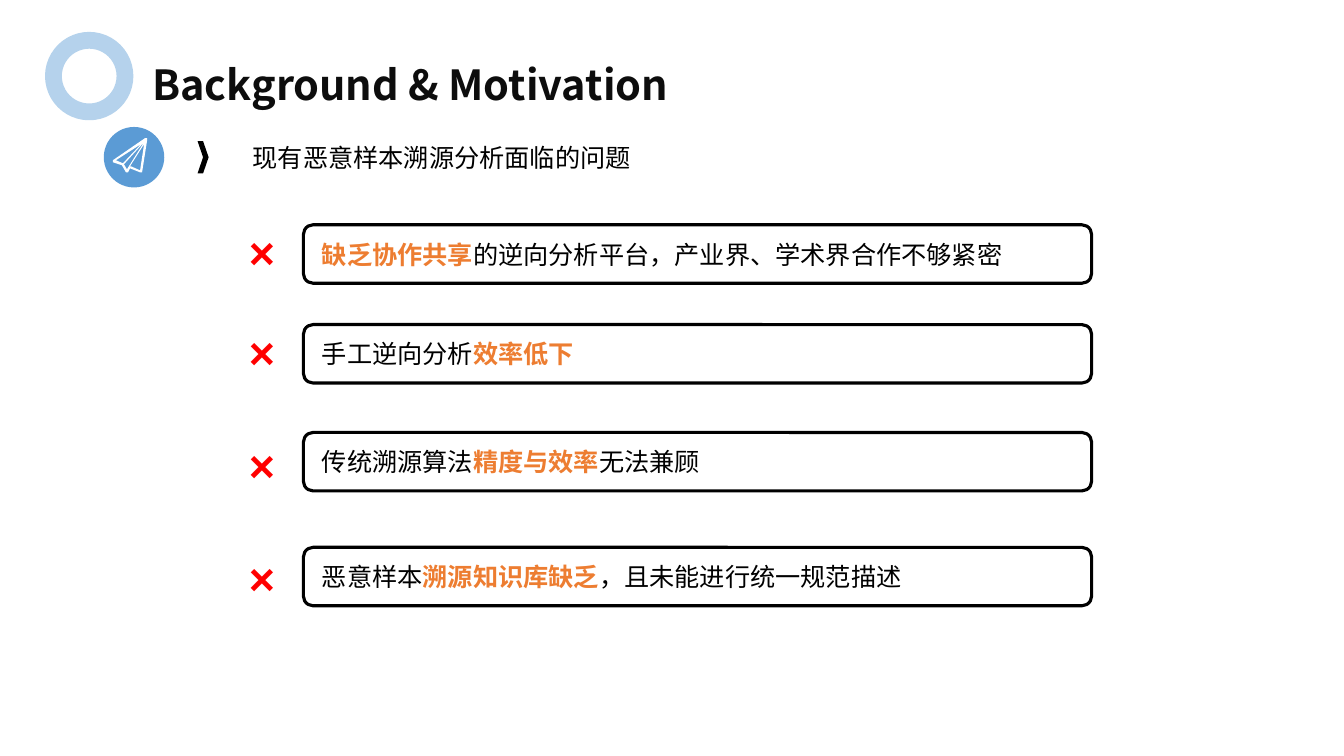
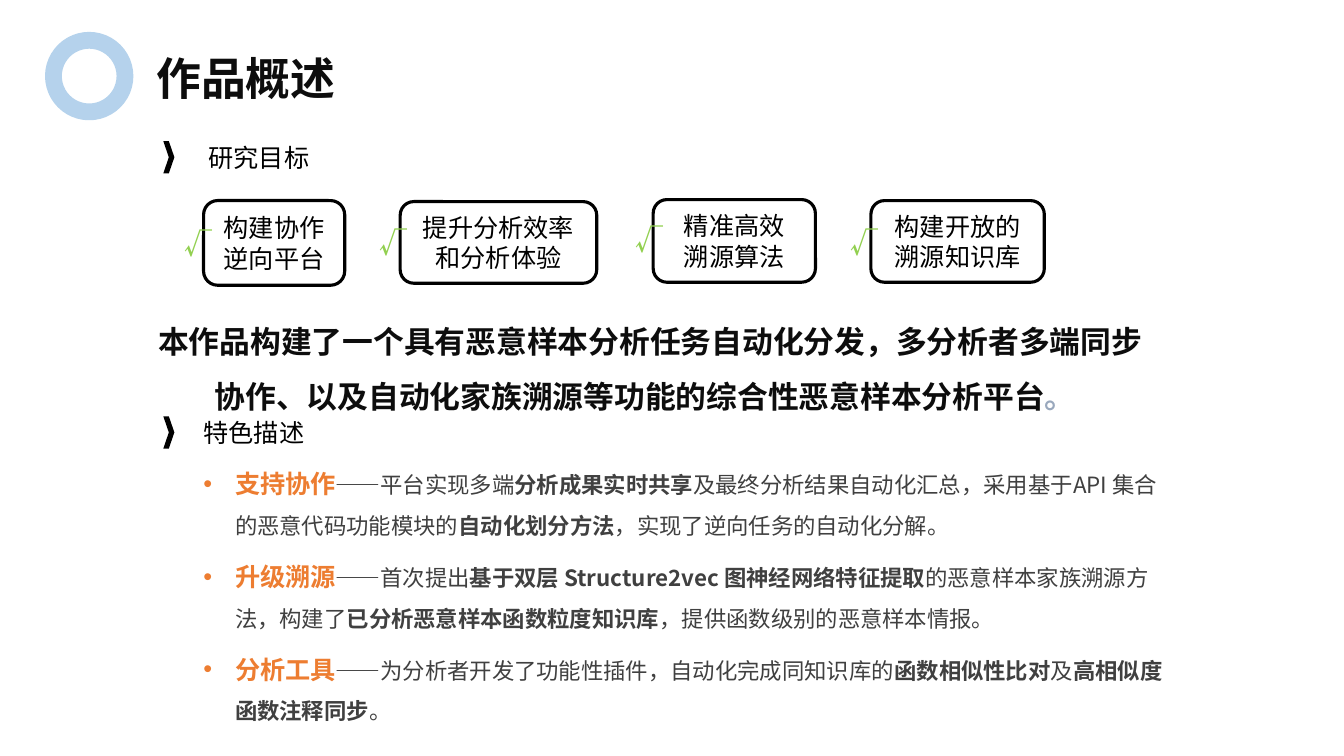
"""Build two slides on the problems and goals of malware tracing."""
from dataclasses import dataclass
from enum import Enum
from typing import NamedTuple

from lxml import etree
from pptx import Presentation
from pptx import util as u
from pptx.dml.color import RGBColor
from pptx.enum import shapes, text
from pptx.oxml import ns

COLUMNS, ROWS = 80, 45
CELL = u.Inches(7.5) // ROWS


@dataclass(frozen=True)
class Theme:
    """Colours, fonts and type sizes of the presentation."""
    font: str = "Noto Sans CJK SC"
    cross_font: str = "Arial"
    tick_font: str = "Noto Sans CJK JP"
    ink: str = "000000"
    title_ink: str = "0D0D0D"
    body_ink: str = "404040"
    accent: str = "ED7D31"
    blue: str = "5B9BD5"
    pale_blue: str = "B5D2EC"
    grey_blue: str = "99A8BD"
    white: str = "FFFFFF"
    red: str = "FF0000"
    green: str = "92D050"
    title_size: float = 32
    latin_title_size: float = 29.6
    summary_size: float = 22
    text_size: float = 18
    detail_size: float = 16
    cross_size: float = 32
    tick_size: float = 20
    frame_width: float = 2.25
    ring_width: float = 12


THEME = Theme()


class Box(NamedTuple):
    """A rectangle in grid columns and rows."""
    left: float
    top: float
    width: float
    height: float

    def lengths(self) -> list[int]:
        """Return the rectangle in slide units."""
        return [cells(value) for value in self]


class Tone(Enum):
    """The ways a piece of text is set."""
    PLAIN = dict(color=THEME.ink)
    ACCENT = dict(color=THEME.accent, bold=True)
    SUMMARY = dict(color=THEME.title_ink, size=THEME.summary_size, bold=True)
    STOP = dict(color=THEME.grey_blue, size=THEME.summary_size, bold=True)
    DETAIL = dict(color=THEME.body_ink, size=THEME.detail_size)
    STRONG = dict(color=THEME.body_ink, size=THEME.detail_size, bold=True)


class Piece(NamedTuple):
    """A stretch of text in one tone."""
    content: str
    tone: Tone = Tone.PLAIN


class Problem(NamedTuple):
    """A framed problem with a cross before it."""
    top: float
    cross_top: float
    pieces: list[Piece]


class Goal(NamedTuple):
    """A framed goal with a tick at its left edge."""
    frame: Box
    tick_left: float
    tick_top: float
    lines: list[str]


RING = Box(3.18, 2.4, 4.26, 4.26)
BADGE = Box(6.18, 7.56, 3.6, 3.6)
PLANE_UNITS = 60
PLANE = [
    [(43, 11), (41, 11), (9, 33), (9, 35), (18, 38), (22, 45), (24, 45),
     (26, 41), (36, 45), (38, 45), (43, 13)],
    [(36, 43), (27, 39), (26, 39), (40, 17)],
    [(20, 37), (40, 15), (23, 42)],
    [(12, 33), (37, 17), (19, 36)],
]

PROBLEMS = [
    Problem(13.38, 13.08, [Piece("缺乏协作共享", Tone.ACCENT),
                           Piece("的逆向分析平台，产业界、学术界合作不够紧密")]),
    Problem(19.32, 19.02, [Piece("手工逆向分析"), Piece("效率低下", Tone.ACCENT)]),
    Problem(25.74, 25.74, [Piece("传统溯源算法"), Piece("精度与效率", Tone.ACCENT),
                           Piece("无法兼顾")]),
    Problem(32.58, 32.46, [Piece("恶意样本"), Piece("溯源知识库缺乏", Tone.ACCENT),
                           Piece("，且未能进行统一规范描述")]),
]

GOALS = [
    Goal(Box(12.12, 11.94, 8.4, 5.04), 10.38, 13.2, ["构建协作逆向平台"]),
    Goal(Box(23.82, 12, 11.7, 4.86), 22.02, 13.14, ["提升分析效率和分析体验"]),
    Goal(Box(38.88, 11.88, 9.66, 4.92), 37.26, 12.96, ["精准高效", "溯源算法"]),
    Goal(Box(51.84, 11.94, 10.32, 4.86), 50.04, 13.14, ["构建开放的溯源知识库"]),
]

SUMMARY = [
    Piece("本作品构建了一个具有恶意样本分析任务自动化分发，多分析者多端同步协作、"
          "以及自动化家族溯源等功能的综合性恶意样本分析平台", Tone.SUMMARY),
    Piece("。", Tone.STOP),
]

FEATURES = [
    [Piece("支持协作", Tone.ACCENT), Piece("——平台实现多端", Tone.DETAIL),
     Piece("分析成果实时共享", Tone.STRONG),
     Piece("及最终分析结果自动化汇总，采用基于API 集合的恶意代码功能模块的", Tone.DETAIL),
     Piece("自动化划分方法", Tone.STRONG),
     Piece("，实现了逆向任务的自动化分解。", Tone.DETAIL)],
    [Piece("升级溯源", Tone.ACCENT), Piece("——首次提出", Tone.DETAIL),
     Piece("基于双层 Structure2vec 图神经网络特征提取", Tone.STRONG),
     Piece("的恶意样本家族溯源方法，构建了", Tone.DETAIL),
     Piece("已分析恶意样本函数粒度知识库", Tone.STRONG),
     Piece("，提供函数级别的恶意样本情报。", Tone.DETAIL)],
    [Piece("分析工具", Tone.ACCENT),
     Piece("——为分析者开发了功能性插件，自动化完成同知识库的", Tone.DETAIL),
     Piece("函数相似性比对", Tone.STRONG), Piece("及", Tone.DETAIL),
     Piece("高相似度函数注释同步", Tone.STRONG), Piece("。", Tone.DETAIL)],
]


def cells(count: float) -> int:
    """Turn a number of grid cells into a slide length."""
    return round(count * CELL)


def write(paragraph, content: str, *, color: str = THEME.ink,
          size: float = THEME.text_size, bold: bool = False,
          font: str = THEME.font) -> None:
    """Append formatted text to a paragraph."""
    run = paragraph.add_run()
    run.text = content
    run.font.size, run.font.bold, run.font.name = u.Pt(size), bold, font
    run.font.color.rgb = RGBColor.from_string(color)
    properties = run._r.get_or_add_rPr()
    etree.SubElement(properties, ns.qn("a:ea")).set("typeface", font)


def write_pieces(paragraph, pieces: list[Piece]) -> None:
    """Append pieces of text, each in its tone."""
    for piece in pieces:
        write(paragraph, piece.content, **piece.tone.value)


def add_paragraphs(frame, count: int) -> list:
    """Return the given number of paragraphs of an empty text frame."""
    return [frame.paragraphs[0]] + [frame.add_paragraph() for _ in range(count - 1)]


def indent(paragraph, margin: float, first_line: float) -> None:
    """Set the left margin and first-line indent in cells."""
    properties = paragraph._p.get_or_add_pPr()
    properties.set("marL", str(cells(margin)))
    properties.set("indent", str(cells(first_line)))


def space(paragraph) -> None:
    """Give a long paragraph its open line spacing."""
    paragraph.line_spacing = 1.5
    paragraph.space_before = u.Pt(5)


def add_bullet(paragraph) -> None:
    """Put a hanging round bullet before a paragraph."""
    indent(paragraph, 1.88, -1.88)
    properties = paragraph._p.get_or_add_pPr()
    etree.SubElement(properties, ns.qn("a:buFont")).set("typeface", "Arial")
    etree.SubElement(properties, ns.qn("a:buChar")).set("char", "•")


def paint(shape, fill: str | None, line: str | None, width: float = 0) -> None:
    """Set the fill and line of a shape and drop its shadow."""
    shape.shadow.inherit = False
    if fill:
        shape.fill.solid()
        shape.fill.fore_color.rgb = RGBColor.from_string(fill)
    else:
        shape.fill.background()
    if line:
        shape.line.color.rgb = RGBColor.from_string(line)
        shape.line.width = u.Pt(width)
    else:
        shape.line.fill.background()


def add_preset(slide, kind: shapes.MSO_SHAPE, box: Box, *, fill: str | None = None,
               line: str | None = None, width: float = 0):
    """Add a painted preset shape."""
    shape = slide.shapes.add_shape(kind, *box.lengths())
    paint(shape, fill, line, width)
    return shape


def add_frame(slide, box: Box):
    """Add a rounded outline and return its text frame."""
    shape = add_preset(slide, shapes.MSO_SHAPE.ROUNDED_RECTANGLE, box,
                       line=THEME.ink, width=THEME.frame_width)
    shape.text_frame.word_wrap = True
    shape.text_frame.vertical_anchor = text.MSO_ANCHOR.MIDDLE
    return shape.text_frame


def add_text(slide, box: Box, wrap: bool = True):
    """Add a text box and return its text frame."""
    frame = slide.shapes.add_textbox(*box.lengths()).text_frame
    frame.word_wrap = wrap
    return frame


def add_heading(slide, content: str, chevron_left: float, text_left: float,
                top: float) -> None:
    """Add a section heading with a chevron before it."""
    add_preset(slide, shapes.MSO_SHAPE.CHEVRON, Box(chevron_left, top, 0.66, 1.92),
               fill=THEME.ink)
    frame = add_text(slide, Box(text_left, top - 0.24, 34.56, 2.4))
    write(frame.paragraphs[0], content)


def add_titled_slide(presentation, title: str, box: Box, size: float):
    """Add a slide with the shared title style and ring."""
    slide = presentation.slides.add_slide(presentation.slide_layouts[5])
    placeholder = slide.shapes.title
    placeholder.left, placeholder.top, placeholder.width, placeholder.height = box.lengths()
    frame = placeholder.text_frame
    frame.auto_size = text.MSO_AUTO_SIZE.NONE
    frame.vertical_anchor = text.MSO_ANCHOR.BOTTOM
    frame.margin_bottom = 0
    frame.paragraphs[0].alignment = text.PP_ALIGN.LEFT
    write(frame.paragraphs[0], title, size=size, color=THEME.title_ink, bold=True)
    add_preset(slide, shapes.MSO_SHAPE.OVAL, RING, fill=THEME.white,
               line=THEME.pale_blue, width=THEME.ring_width)
    return slide


def add_plane_badge(slide) -> None:
    """Add the round badge with a paper plane."""
    add_preset(slide, shapes.MSO_SHAPE.OVAL, BADGE, fill=THEME.blue)
    scale = cells(BADGE.width) / PLANE_UNITS
    builder = slide.shapes.build_freeform(*PLANE[0][0], scale=scale)
    for index, outline in enumerate(PLANE):
        if index:
            builder.move_to(*outline[0])
        builder.add_line_segments(outline[1:], close=True)
    plane = builder.convert_to_shape(cells(BADGE.left), cells(BADGE.top))
    paint(plane, THEME.white, None)


def build_problems(presentation) -> None:
    """Build the slide of open problems."""
    slide = add_titled_slide(presentation, "Background & Motivation",
                             Box(8.46, 1.86, 32.1, 4.62), THEME.latin_title_size)
    add_plane_badge(slide)
    add_heading(slide, "现有恶意样本溯源分析面临的问题", 11.76, 14.46, 8.4)
    for problem in PROBLEMS:
        frame = add_frame(slide, Box(18.06, problem.top, 46.92, 3.48))
        frame.margin_left = cells(0.93)
        frame.paragraphs[0].alignment = text.PP_ALIGN.LEFT
        write_pieces(frame.paragraphs[0], problem.pieces)
        cross = add_text(slide, Box(14.22, problem.cross_top, 3.48, 3.84))
        write(cross.paragraphs[0], "×", size=THEME.cross_size, color=THEME.red,
              bold=True, font=THEME.cross_font)


def build_overview(presentation) -> None:
    """Build the slide of goals and features."""
    slide = add_titled_slide(presentation, "作品概述", Box(8.7, 2.82, 32.1, 3.42),
                             THEME.title_size)
    add_heading(slide, "研究目标", 9.72, 11.82, 8.4)
    for goal in GOALS:
        frame = add_frame(slide, goal.frame)
        for paragraph, line in zip(add_paragraphs(frame, len(goal.lines)), goal.lines):
            paragraph.alignment = text.PP_ALIGN.CENTER
            write(paragraph, line)
        tick = add_text(slide, Box(goal.tick_left, goal.tick_top, 2.88, 2.64), wrap=False)
        write(tick.paragraphs[0], "√", size=THEME.tick_size, color=THEME.green,
              bold=True, font=THEME.tick_font)
    summary = add_text(slide, Box(8.1, 17.82, 60.6, 10.02)).paragraphs[0]
    summary.alignment = text.PP_ALIGN.CENTER
    indent(summary, 0, 0.6)
    space(summary)
    write_pieces(summary, SUMMARY)
    add_heading(slide, "特色描述", 9.72, 11.52, 24.78)
    features = add_text(slide, Box(11.52, 26.7, 58.62, 16.86))
    for paragraph, pieces in zip(add_paragraphs(features, len(FEATURES)), FEATURES):
        space(paragraph)
        add_bullet(paragraph)
        write_pieces(paragraph, pieces)


def main() -> None:
    """Build and save the presentation."""
    presentation = Presentation()
    presentation.slide_width, presentation.slide_height = cells(COLUMNS), cells(ROWS)
    build_problems(presentation)
    build_overview(presentation)
    presentation.save("out.pptx")


if __name__ == "__main__":
    main()
